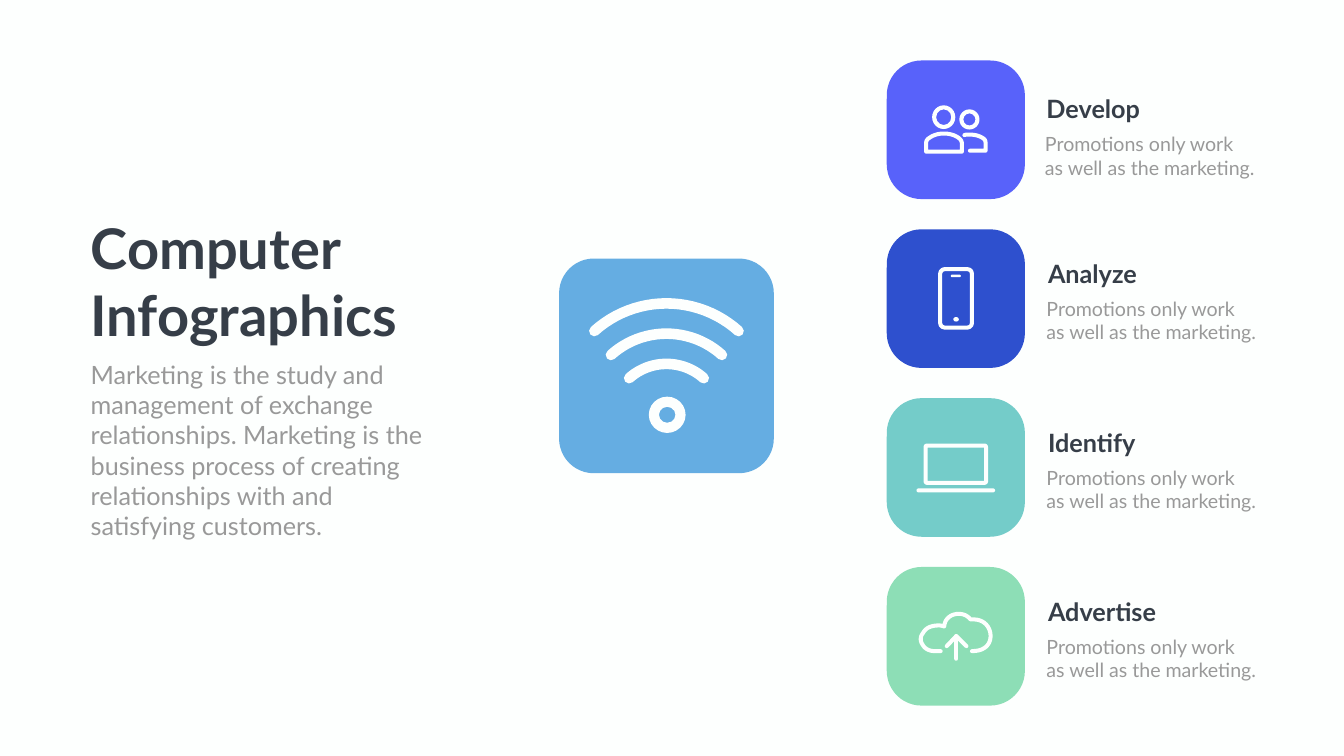
import math

from lxml import etree
from pptx import Presentation
from pptx.dml import color
from pptx.enum import shapes, text
from pptx.oxml import ns
from pptx.util import Inches

PX = Inches(1) // 100  # one px is a hundredth of an inch
FINE = 20  # freeform grid steps per px


class Theme:
    paper = "FDFFFE"
    hub = "65ADE2"
    font = "Lato"
    title = {"size": 80, "bold": True, "color": "363E48"}
    heading = {"size": 36, "bold": True, "color": "363E48"}
    body = {"size": 36, "bold": False, "color": "999999"}
    caption = {"size": 28, "bold": False, "color": "999999"}
    thin = 8
    thick = 21


def rgb(value):
    return color.RGBColor.from_string(value)


def add_text(slide, box, lines, style):
    frame = slide.shapes.add_textbox(*(v * PX for v in box)).text_frame
    settings = {"word_wrap": True, "auto_size": text.MSO_AUTO_SIZE.SHAPE_TO_FIT_TEXT}
    for name, value in settings.items():
        setattr(frame, name, value)
    frame.text = "\n".join(lines)
    font_values = {"name": Theme.font, "size": style["size"] * 12700, "bold": style["bold"]}
    for paragraph in frame.paragraphs:
        for name, value in font_values.items():
            setattr(paragraph.font, name, value)
        paragraph.font.color.rgb = rgb(style["color"])


def add_solid(slide, kind, origin, box, fill=Theme.paper, adjust=None):
    """Place a filled preset shape; box is relative to origin."""
    left, top, width, height = box
    shape = slide.shapes.add_shape(
        kind, (origin[0] + left) * PX, (origin[1] + top) * PX, width * PX, height * PX)
    shape.shadow.inherit = False
    shape.fill.solid()
    shape.fill.fore_color.rgb = rgb(fill)
    shape.line.fill.background()
    if adjust is not None:
        shape.adjustments[0] = adjust
    return shape


def draw_as_stroke(shape, weight):
    """Show only a round-ended outline."""
    shape.shadow.inherit = False
    shape.fill.background()
    shape.line.color.rgb = rgb(Theme.paper)
    shape.line.width = weight * PX
    line = shape._element.spPr.find(ns.qn("a:ln"))
    line.set("cap", "rnd")
    etree.SubElement(line, ns.qn("a:round"))


def add_stroke(slide, origin, points, weight=Theme.thin, close=False):
    fine = [(x * FINE, y * FINE) for x, y in points]
    builder = slide.shapes.build_freeform(*fine[0], scale=PX / FINE)
    builder.add_line_segments(fine[1:], close=close)
    shape = builder.convert_to_shape(origin[0] * PX, origin[1] * PX)
    draw_as_stroke(shape, weight)


def add_outline_box(slide, origin, box, radius):
    shape = add_solid(slide, shapes.MSO_SHAPE.ROUNDED_RECTANGLE, origin, box,
                      adjust=radius / min(box[2:]))
    draw_as_stroke(shape, Theme.thin)


def trace(start, *segments, steps=10):
    """Sample lines (one point) and cubic curves (three points) in turn."""
    points = [start]
    for segment in segments:
        if len(segment) == 1:
            points += segment
            continue
        controls = (points[-1], *segment)
        for step in range(1, steps + 1):
            t = step / steps
            weights = ((1 - t) ** 3, 3 * t * (1 - t) ** 2, 3 * t * t * (1 - t), t ** 3)
            points.append(tuple(sum(w * c[axis] for w, c in zip(weights, controls))
                                for axis in (0, 1)))
    return points


def draw_people(slide, origin):
    for head in ((90, 89, 46, 47), (144, 97, 40, 40)):
        add_solid(slide, shapes.MSO_SHAPE.DONUT, origin, head, adjust=Theme.thin / head[2])
    front = trace((78, 181), [(78, 165)],
                  [(78, 161), (79, 157), (84, 154)], [(92, 148), (102, 145), (113, 145)],
                  [(125, 145), (135, 148), (143, 154)], [(147, 157), (149, 161), (149, 165)],
                  [(149, 181)])
    back = trace((154, 148), [(157, 147), (161, 147), (164, 147)],
                 [(174, 147), (184, 149), (192, 155)], [(195, 157), (196, 160), (196, 164)],
                 [(196, 179)], [(165, 179)])
    add_stroke(slide, origin, front, close=True)
    add_stroke(slide, origin, back)


def draw_phone(slide, origin):
    add_outline_box(slide, origin, (106, 79, 63, 116), 9)
    add_solid(slide, shapes.MSO_SHAPE.OVAL, origin, (132, 174, 11, 9))
    add_solid(slide, shapes.MSO_SHAPE.ROUNDED_RECTANGLE, origin, (127, 90, 20, 5), adjust=0.5)


def draw_laptop(slide, origin):
    add_outline_box(slide, origin, (77, 94, 120, 74), 3)
    add_solid(slide, shapes.MSO_SHAPE.ROUNDED_RECTANGLE, origin, (59, 179, 156, 8), adjust=0.5)


def draw_cloud(slide, origin):
    cloud = trace((107, 167), [(96, 167)],
                  [(85, 167), (76, 163), (71, 154)], [(66, 147), (66, 138), (72, 131)],
                  [(77, 121), (88, 116), (103, 116)], [(107, 116), (111, 117), (114, 118)],
                  [(115, 102), (128, 93), (143, 93)], [(151, 93), (160, 96), (166, 104)],
                  [(172, 104)], [(194, 104), (206, 120), (206, 137)],
                  [(206, 153), (195, 167), (169, 167)])
    for points in (cloud, [(138, 182), (138, 137)], [(119, 157), (138, 137), (158, 157)]):
        add_stroke(slide, origin, points)


def draw_wifi_tile(slide, box):
    origin, size = box[:2], box[2]
    add_solid(slide, shapes.MSO_SHAPE.ROUNDED_RECTANGLE, origin, (0, 0, size, size),
              Theme.hub, 69 / size)
    middle, spread, steps = size / 2, math.radians(42), 24
    for index, half_width in enumerate((143, 110, 74)):
        radius = half_width / math.sin(spread)
        top = 89 + 60 * index
        angles = [spread * (2 * step / steps - 1) for step in range(steps + 1)]
        arc = [(middle + radius * math.sin(a), top + radius * (1 - math.cos(a)))
               for a in angles]
        add_stroke(slide, origin, arc, Theme.thick)
    add_solid(slide, shapes.MSO_SHAPE.DONUT, origin, (178, 274, 73, 72), adjust=0.28)


def draw_intro(slide, box):
    left, top, width, height = box
    add_text(slide, (left, top, width, 279), ["Computer Infographics"], Theme.title)
    add_text(slide, (left, top + 289, width - 19, height - 289),
             ["Marketing is the study and management of exchange relationships. "
              "Marketing is the business process of creating relationships with "
              "and satisfying customers."], Theme.body)


def draw_card(slide, box, fill, draw_icon, heading, heading_offset):
    left, top, width, height = box
    add_solid(slide, shapes.MSO_SHAPE.ROUNDED_RECTANGLE, (left, top),
              (0, 0, width, height), fill, 69 / width)
    draw_icon(slide, (left, top))
    text_left, text_top = left + heading_offset[0], top + heading_offset[1]
    add_text(slide, (text_left, text_top, 261, 71), [heading], Theme.heading)
    add_text(slide, (text_left - 3, text_top + 76, 498, 104),
             ["Promotions only work", "as well as the marketing."], Theme.caption)


CARDS = [
    ("5862FA", draw_people, "Develop", (307, 61)),
    ("2E50CE", draw_phone, "Analyze", (310, 53)),
    ("74CCC9", draw_laptop, "Identify", (310, 53)),
    ("8DDEB6", draw_cloud, "Advertise", (310, 53)),
]


def main():
    presentation = Presentation()
    presentation.slide_width, presentation.slide_height = 2666 * PX, 1500 * PX
    slide = presentation.slides.add_slide(presentation.slide_layouts[6])
    slide.background.fill.solid()
    slide.background.fill.fore_color.rgb = rgb(Theme.paper)
    draw_intro(slide, (170, 419, 705, 663))
    draw_wifi_tile(slide, (1109, 513, 426, 426))
    for row, card in enumerate(CARDS):
        draw_card(slide, (1759, 120 + 335 * row, 274, 275), *card)
    presentation.save("out.pptx")


if __name__ == "__main__":
    main()
